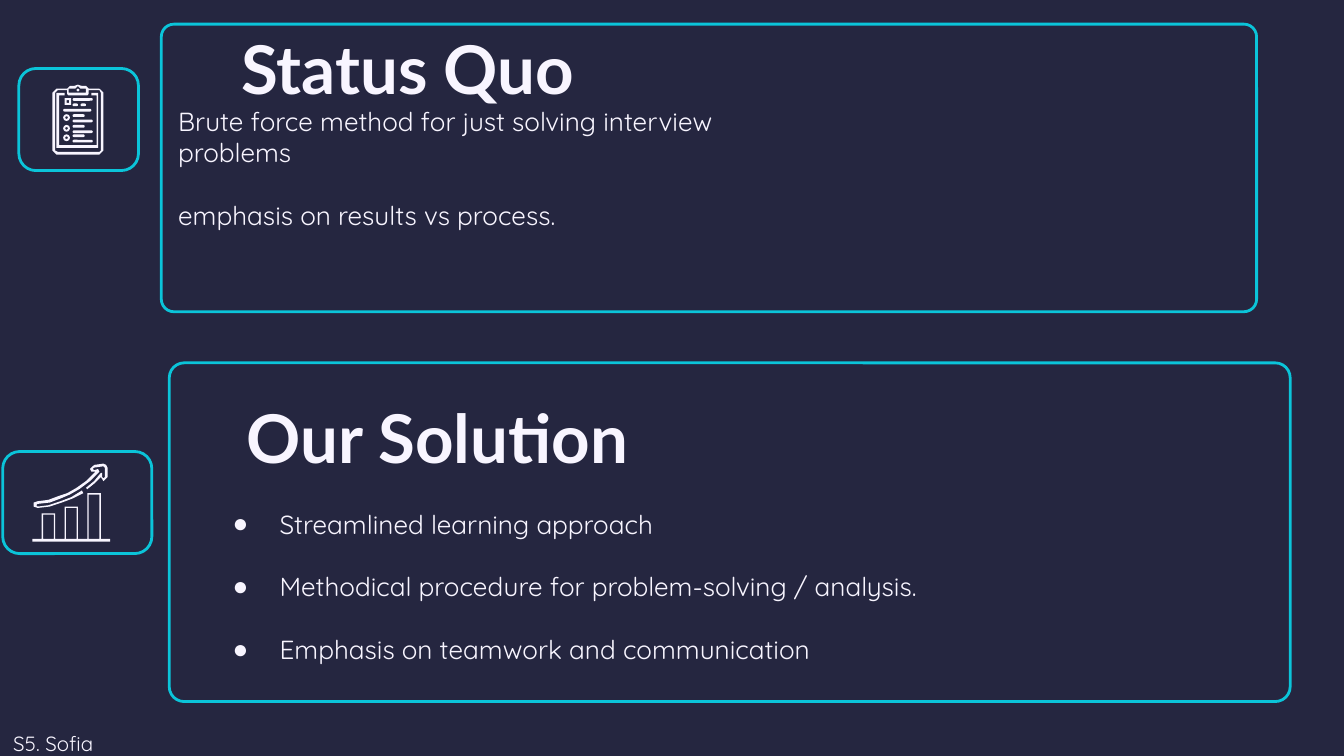
from dataclasses import dataclass

from lxml import etree
from pptx import Presentation
from pptx.dml.color import RGBColor
from pptx.enum.shapes import MSO_SHAPE
from pptx.enum.text import MSO_ANCHOR, MSO_AUTO_SIZE, PP_ALIGN
from pptx.oxml.ns import qn
from pptx.util import Inches, Pt

ROUNDED, OVAL = MSO_SHAPE.ROUNDED_RECTANGLE, MSO_SHAPE.OVAL
DONUT, FRAME = MSO_SHAPE.DONUT, MSO_SHAPE.FRAME
TOP, MIDDLE = MSO_ANCHOR.TOP, MSO_ANCHOR.MIDDLE
LEFT, CENTER = PP_ALIGN.LEFT, PP_ALIGN.CENTER
NO_AUTOFIT = MSO_AUTO_SIZE.NONE


@dataclass(frozen=True)
class Theme:
    background: RGBColor = RGBColor.from_string("252640")
    accent: RGBColor = RGBColor.from_string("0BC4D9")
    text: RGBColor = RGBColor.from_string("F8F5FF")
    heading_font: str = "Lato"
    body_font: str = "Quicksand"
    heading_size: Pt = Pt(36)
    body_size: Pt = Pt(14)
    footer_size: Pt = Pt(11)
    heading_gap: Pt = Pt(12)
    item_gap: Pt = Pt(16.8)
    border: Pt = Pt(1.5)


def box(*lengths):
    return [Inches(v) for v in lengths]


class SlideBuilder:
    def __init__(self, slide, theme):
        self.s = slide
        self.theme = theme
        slide.background.fill.solid()
        slide.background.fill.fore_color.rgb = theme.background

    def panel(self, at, corner):
        sp = self.s.shapes.add_shape(ROUNDED, *box(*at))
        sp.adjustments[0] = corner
        sp.shadow.inherit = False
        sp.fill.background()
        sp.line.color.rgb = self.theme.accent
        sp.line.width = self.theme.border
        return sp

    def place(self, idx, at):
        sp = self.s.placeholders[idx]
        sp.left, sp.top, sp.width, sp.height = box(*at)
        return sp

    def text(self, sp, lines, size, font, anchor=TOP, align=LEFT, bold=False):
        """Fill a shape with one paragraph per line and return the paragraphs."""
        tf = sp.text_frame
        tf.word_wrap = True
        tf.auto_size = NO_AUTOFIT
        tf.vertical_anchor = anchor
        tf.margin_left = tf.margin_right = Inches(0.1)
        tf.margin_top = tf.margin_bottom = Inches(0.1)
        tf.text = "\n".join(lines)
        for p in tf.paragraphs:
            p.alignment = align
            p.space_before = Pt(0)
            p.font.size, p.font.name, p.font.bold = size, font, bold
            p.font.color.rgb = self.theme.text
        return tf.paragraphs

    def heading(self, idx, at, words):
        t = self.theme
        p = self.text(self.place(idx, at), [words], t.heading_size,
                      t.heading_font, MIDDLE, CENTER, True)[0]
        p.space_after = t.heading_gap

    def bullets(self, idx, at, items):
        t = self.theme
        paragraphs = self.text(self.place(idx, at), items, t.body_size, t.body_font)
        for i, p in enumerate(paragraphs):
            p.space_before = t.item_gap if i else Pt(0)
            pPr = p._p.get_or_add_pPr()
            pPr.set("marL", str(Inches(0.5)))
            pPr.set("indent", str(Inches(-0.35)))
            bullet = etree.Element(qn("a:buChar"), char="●")
            pPr.find(qn("a:defRPr")).addprevious(bullet)

    def footer(self, at, words):
        t = self.theme
        self.text(self.s.shapes.add_textbox(*box(*at)), [words],
                  t.footer_size, t.body_font)

    def ink(self, sp):
        sp.shadow.inherit = False
        sp.fill.solid()
        sp.fill.fore_color.rgb = self.theme.text
        sp.line.fill.background()

    def mark(self, kind, at, adjust=None):
        sp = self.s.shapes.add_shape(kind, *box(*at))
        if adjust is not None:
            sp.adjustments[0] = adjust
        self.ink(sp)

    def outline(self, *contours):
        """Draw one filled shape; contours inside the first one are holes."""
        first, *holes = [[box(*pt) for pt in c] for c in contours]
        builder = self.s.shapes.build_freeform(*first[0], scale=1.0)
        builder.add_line_segments(first[1:], close=True)
        for hole in holes:
            builder.move_to(*hole[0])
            builder.add_line_segments(hole[1:], close=True)
        self.ink(builder.convert_to_shape())

    def clipboard_icon(self):
        board = [(0.58, 0.63), (0.61, 0.64), (0.64, 0.64), (0.66, 0.66),
                 (0.74, 0.66), (0.77, 0.69), (0.77, 1.12), (0.74, 1.15),
                 (0.42, 1.15), (0.39, 1.12), (0.39, 0.69), (0.42, 0.66),
                 (0.5, 0.66), (0.52, 0.64), (0.55, 0.64)]
        clip = [(0.58, 0.64), (0.6, 0.66), (0.64, 0.66), (0.64, 0.69),
                (0.51, 0.69), (0.51, 0.66), (0.56, 0.66)]
        inside = [(0.5, 0.67), (0.5, 0.7), (0.51, 0.71), (0.65, 0.71),
                  (0.66, 0.7), (0.66, 0.67), (0.74, 0.67), (0.75, 0.69),
                  (0.75, 1.12), (0.74, 1.13), (0.43, 1.13), (0.41, 1.12),
                  (0.41, 0.69), (0.43, 0.67)]
        self.outline(board, clip, inside)
        self.outline([(0.48, 0.69), (0.42, 0.69), (0.42, 1.1), (0.73, 1.1),
                      (0.73, 0.69), (0.68, 0.69), (0.68, 0.71), (0.72, 0.71),
                      (0.72, 1.08), (0.44, 1.08), (0.44, 0.71), (0.48, 0.71)])
        self.mark(OVAL, (0.57, 0.66, 0.02, 0.02))
        self.mark(FRAME, (0.48, 0.73, 0.05, 0.05), 0.3)
        strokes = [(0.54, 0.73, 0.15), (0.54, 0.77, 0.04),
                   (0.6, 0.77, 0.04), (0.47, 0.81, 0.21)]
        for y in (0.85, 0.93, 1):
            self.mark(DONUT, (0.47, y, 0.05, 0.05), 0.3)
            strokes += [(0.54, y, 0.09), (0.54, y + 0.04, 0.15)]
        for x, y, width in strokes:
            self.mark(ROUNDED, (x, y, width, 0.02), 0.5)

    def growth_icon(self):
        base, wall = 4.01, 0.01
        skyline, holes = [(0.24, base)], []
        for left, top in ((0.32, 3.83), (0.49, 3.78), (0.66, 3.68)):
            right = left + 0.08
            holes.append([(left, top), (right, top), (right, base), (left, base)])
            skyline += [(left - wall, base), (left - wall, top - wall),
                        (right + wall, top - wall), (right + wall, base)]
        skyline += [(0.82, base), (0.82, 4.03), (0.24, 4.03)]
        self.outline(skyline, *holes)
        self.outline([
            (0.77, 3.45), (0.7, 3.46), (0.67, 3.49), (0.68, 3.51), (0.71, 3.51),
            (0.64, 3.58), (0.57, 3.63), (0.5, 3.67), (0.44, 3.69), (0.36, 3.72),
            (0.28, 3.73), (0.25, 3.74), (0.25, 3.77), (0.28, 3.78), (0.37, 3.77),
            (0.46, 3.74), (0.54, 3.71), (0.62, 3.67), (0.61, 3.65), (0.53, 3.7),
            (0.45, 3.73), (0.36, 3.76), (0.28, 3.77), (0.27, 3.76), (0.28, 3.75),
            (0.37, 3.74), (0.45, 3.71), (0.52, 3.68), (0.59, 3.64), (0.67, 3.58),
            (0.74, 3.51), (0.73, 3.49), (0.7, 3.5), (0.69, 3.49), (0.7, 3.48),
            (0.77, 3.47), (0.78, 3.48), (0.78, 3.55), (0.77, 3.56), (0.76, 3.55),
            (0.76, 3.52), (0.75, 3.52), (0.7, 3.58), (0.64, 3.63), (0.65, 3.64),
            (0.7, 3.6), (0.75, 3.55), (0.77, 3.58), (0.8, 3.55), (0.8, 3.48),
            (0.79, 3.46)])

    def remove_empty_placeholders(self):
        for sp in list(self.s.placeholders):
            if not sp.text_frame.text:
                sp.element.getparent().remove(sp.element)


def main():
    prs = Presentation()
    prs.slide_width = Inches(10)
    prs.slide_height = prs.slide_width * 9 // 16
    theme = Theme()
    comparison = prs.slide_layouts[4]
    b = SlideBuilder(prs.slides.add_slide(comparison), theme)

    status_panel = b.panel((1.2, 0.18, 8.15, 2.14), 0.044)
    paragraphs = b.text(status_panel, [
        "Brute force method for just solving interview",
        "problems",
        "emphasis on results vs process.",
    ], theme.body_size, theme.body_font, MIDDLE)
    paragraphs[-1].space_before = theme.item_gap
    b.panel((1.26, 2.7, 8.34, 2.52), 0.044)
    b.panel((0.02, 3.36, 1.11, 0.76), 0.167)
    b.panel((0.14, 0.51, 0.89, 0.76), 0.167)

    b.heading(0, (1.26, 0.24, 3.55, 0.52), "Status Quo")
    b.heading(1, (1.48, 2.99, 3.55, 0.52), "Our Solution")
    b.bullets(2, (1.48, 3.68, 7.8, 1.38), [
        "Streamlined learning approach",
        "Methodical procedure for problem-solving / analysis.",
        "Emphasis on teamwork and communication",
    ])
    b.growth_icon()
    b.clipboard_icon()
    b.footer((0, 5.34, 4.15, 0.39), "S5. Sofia")
    b.remove_empty_placeholders()
    prs.save("out.pptx")


if __name__ == "__main__":
    main()
